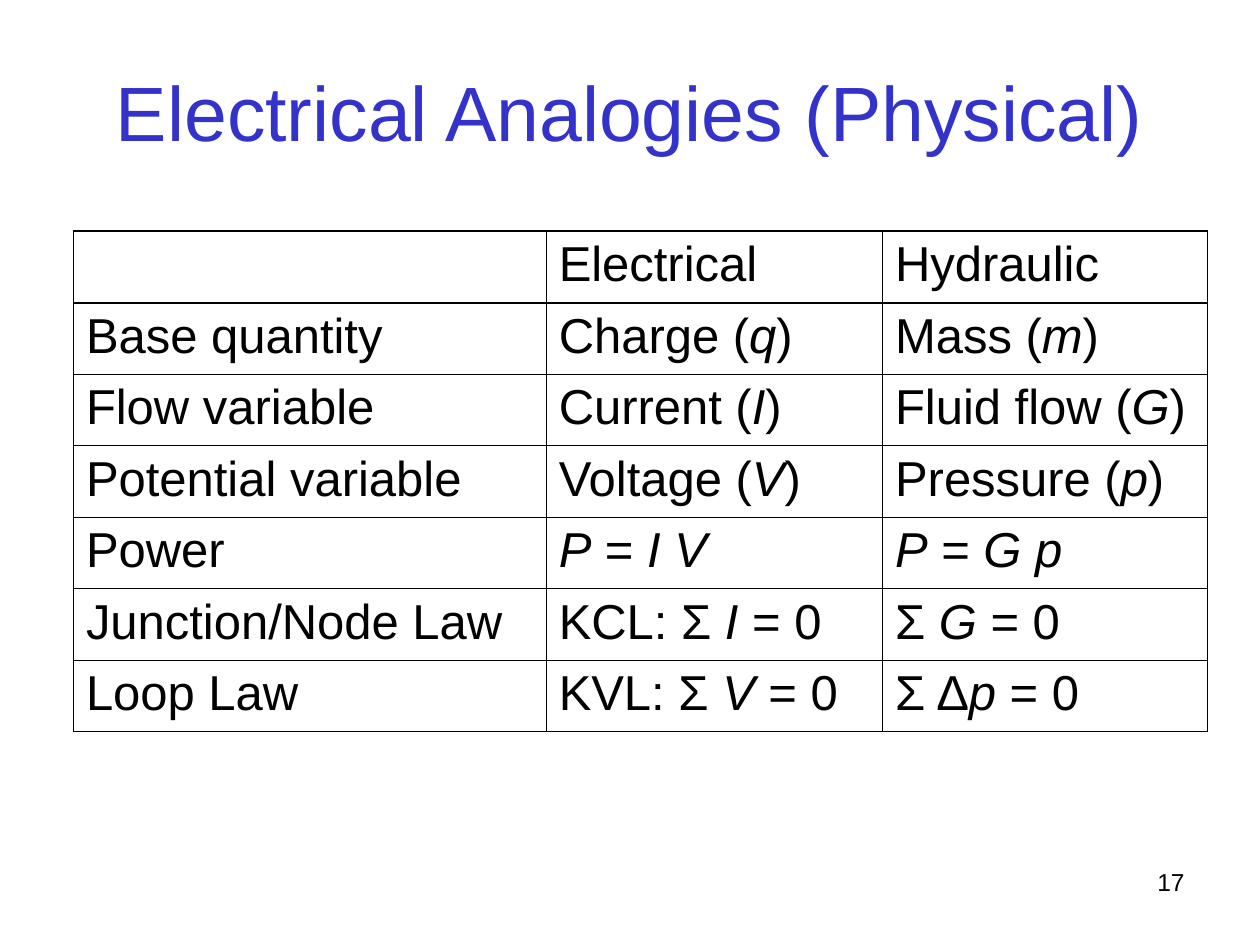
import lxml.etree
import pptx
import pptx.dml.color
import pptx.enum.text
import pptx.oxml.ns
import pptx.util

Cm = pptx.util.Cm
Pt = pptx.util.Pt
ALIGN = pptx.enum.text.PP_ALIGN
ANCHOR = pptx.enum.text.MSO_ANCHOR
qn = pptx.oxml.ns.qn


def write_text(frame, text, size, color="000000", align=ALIGN.LEFT):
    """Write one Arial paragraph; parts between asterisks are italic."""
    frame.word_wrap = True
    para = frame.paragraphs[0]
    para.alignment = align
    for index, part in enumerate(text.split("*")):
        if part:
            span = para.add_run()
            span.text = part
            span.font.name = "Arial"
            span.font.size = Pt(size)
            span.font.italic = index % 2 == 1
            span.font.color.rgb = pptx.dml.color.RGBColor.from_string(color)


def add_border(cell, side, width):
    line = lxml.etree.SubElement(cell._tc.get_or_add_tcPr(), qn("a:ln" + side), w=str(Pt(width)))
    fill = lxml.etree.SubElement(line, qn("a:solidFill"))
    lxml.etree.SubElement(fill, qn("a:srgbClr"), val="000000")


deck = pptx.Presentation()
deck.slide_width = Cm(25.4)
deck.slide_height = Cm(19.05)
page = deck.slides.add_slide(deck.slide_layouts[6])

number_box = page.shapes.add_textbox(Cm(18.85), Cm(17.35), Cm(5.28), Cm(1.27))
write_text(number_box.text_frame, "17", 14, align=ALIGN.RIGHT)

title_box = page.shapes.add_textbox(Cm(1.27), Cm(0.64), Cm(22.86), Cm(3.18))
title_box.text_frame.vertical_anchor = ANCHOR.MIDDLE
write_text(title_box.text_frame, "Electrical Analogies (Physical)", 44, "3333CC", ALIGN.CENTER)

analogies = [
    ["", "Electrical", "Hydraulic"],
    ["Base quantity", "Charge (*q*)", "Mass (*m*)"],
    ["Flow variable", "Current (*I*)", "Fluid flow (*G*)"],
    ["Potential variable", "Voltage (*V*)", "Pressure (*p*)"],
    ["Power", "*P* = *I V*", "*P* = *G p*"],
    ["Junction/Node Law", "KCL: Σ *I* = 0", "Σ *G* = 0"],
    ["Loop Law", "KVL: Σ *V* = 0", "Σ Δ*p* = 0"],
]
column_widths = [9.53, 6.78, 6.55]
row_height = 1.44
INNER, OUTER, HEADER = 0.45, 1.08, 1.47
column_lines = [OUTER, INNER, INNER, OUTER]
row_lines = [OUTER, HEADER] + [INNER] * (len(analogies) - 2) + [OUTER]

table = page.shapes.add_table(
    len(analogies), len(column_widths), Cm(1.48), Cm(4.66),
    Cm(sum(column_widths)), Cm(row_height * len(analogies))).table
table.first_row = False
table.horz_banding = False
for column, width in zip(table.columns, column_widths):
    column.width = Cm(width)

for r, row in enumerate(analogies):
    table.rows[r].height = Cm(row_height)
    for c, text in enumerate(row):
        cell = table.cell(r, c)
        write_text(cell.text_frame, text, 28)
        add_border(cell, "L", column_lines[c])
        add_border(cell, "R", column_lines[c + 1])
        add_border(cell, "T", row_lines[r])
        add_border(cell, "B", row_lines[r + 1])
        cell.fill.background()

deck.save("out.pptx")
